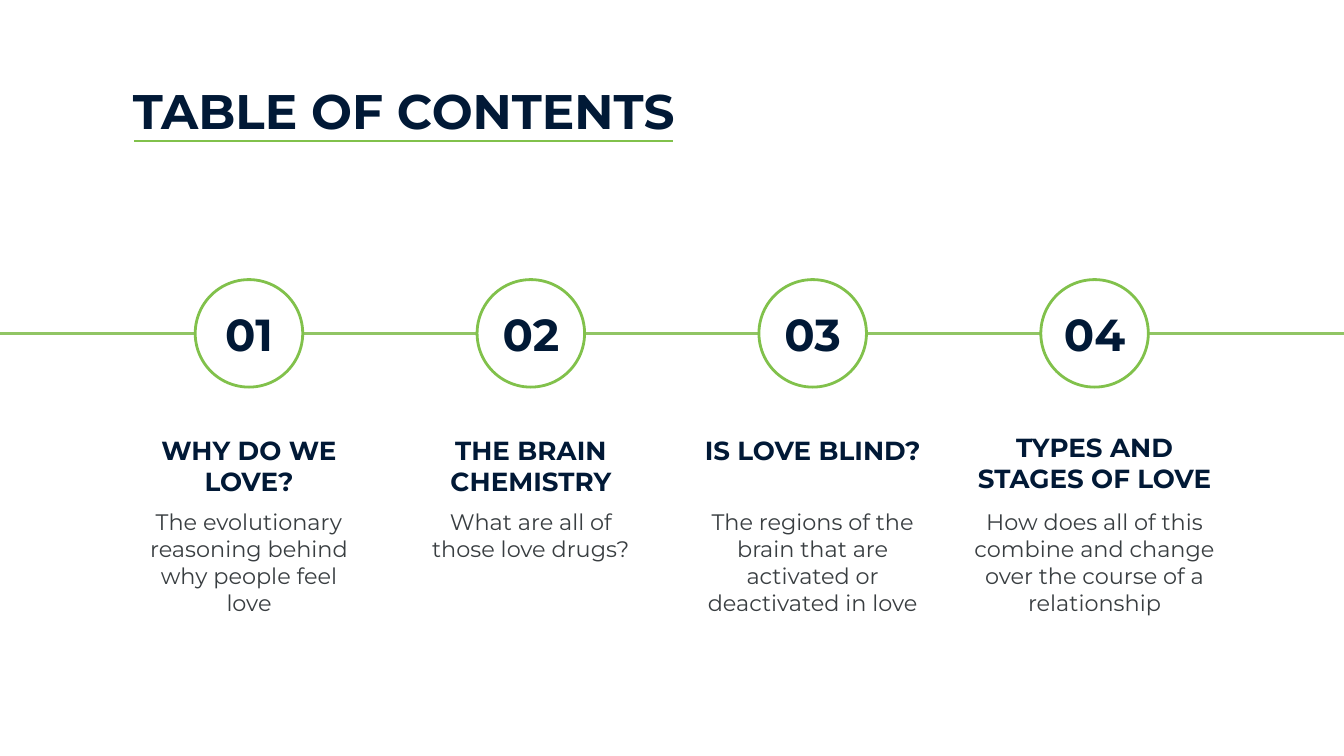
"""Build a table of contents slide with four numbered stops on a line."""
from dataclasses import dataclass

from pptx import Presentation
from pptx.dml.color import RGBColor
from pptx.enum.shapes import MSO_CONNECTOR, MSO_SHAPE
from pptx.enum.text import MSO_ANCHOR, PP_ALIGN
from pptx.oxml.ns import qn
from pptx.slide import Slide
from pptx.util import Pt
from lxml import etree

COLORS = {
    "background": "FFFFFF",
    "green": "81C14B",
    "timeline": "91C564",
    "navy": "011936",
    "gray": "393E41",
}
FONT = "Montserrat"
FIRST_CENTER = 133.4
CENTER_STEP = 151
CIRCLE_SIZE = 57.6
TIMELINE_TOP = 178.6


@dataclass
class Box:
    left: float
    top: float
    width: float
    height: float


@dataclass
class TextStyle:
    size: float
    color: str = "navy"
    bold: bool = True
    alignment: PP_ALIGN = PP_ALIGN.CENTER
    anchor: MSO_ANCHOR = MSO_ANCHOR.TOP


@dataclass
class Section:
    number: str
    heading: str
    description: str
    width: float = 133.2
    heading_top: float = 225.4


TITLE = TextStyle(26, alignment=PP_ALIGN.LEFT)
NUMBER = TextStyle(24, anchor=MSO_ANCHOR.MIDDLE)
HEADING = TextStyle(14)
DESCRIPTION = TextStyle(12, color="gray", bold=False)

SECTIONS = [
    Section("01", "WHY DO WE LOVE?", "The evolutionary reasoning behind why people feel love"),
    Section("02", "THE BRAIN\nCHEMISTRY", "What are all of those love drugs?"),
    Section("03", "IS LOVE BLIND?", "The regions of the brain that are activated or deactivated in love"),
    Section("04", "TYPES AND STAGES OF LOVE",
            "How does all of this combine and change over the course of a relationship",
            width=147.6, heading_top=223.9),
]


def color(name: str) -> RGBColor:
    """Return the named color."""
    return RGBColor.from_string(COLORS[name])


def add_line(slide: Slide, start: float, end: float, top: float, color_name: str) -> None:
    """Draw a horizontal line without a shadow."""
    connector = slide.shapes.add_connector(
        MSO_CONNECTOR.STRAIGHT, Pt(start), Pt(top), Pt(end), Pt(top))
    connector.line.color.rgb = color(color_name)
    connector.line.width = Pt(1.5)
    etree.SubElement(connector._element.spPr, qn("a:effectLst"))


def add_text(slide: Slide, text: str, box: Box, style: TextStyle) -> None:
    """Add a wrapped text box in one style."""
    shape = slide.shapes.add_textbox(Pt(box.left), Pt(box.top), Pt(box.width), Pt(box.height))
    text_frame = shape.text_frame
    text_frame.word_wrap = True
    text_frame.vertical_anchor = style.anchor
    text_frame.margin_left = text_frame.margin_right = Pt(7.2)
    text_frame.margin_top = text_frame.margin_bottom = Pt(7.2)
    text_frame.text = text
    for paragraph in text_frame.paragraphs:
        paragraph.alignment = style.alignment
        for run in paragraph.runs:
            run.font.name = FONT
            run.font.size = Pt(style.size)
            run.font.bold = style.bold
            run.font.color.rgb = color(style.color)


def add_circle(slide: Slide, center: float) -> None:
    """Draw an outlined circle on the timeline."""
    shape = slide.shapes.add_shape(
        MSO_SHAPE.OVAL, Pt(center - CIRCLE_SIZE / 2), Pt(149.8), Pt(CIRCLE_SIZE), Pt(CIRCLE_SIZE))
    shape.shadow.inherit = False
    shape.fill.solid()
    shape.fill.fore_color.rgb = color("background")
    shape.line.color.rgb = color("green")
    shape.line.width = Pt(1.5)


def add_section(slide: Slide, section: Section, center: float) -> None:
    """Add one numbered stop with its heading and description."""
    add_circle(slide, center)
    left = center - section.width / 2
    add_text(slide, section.number, Box(left, 159.1, section.width, 39.6), NUMBER)
    add_text(slide, section.heading, Box(left, section.heading_top, section.width, 45.4), HEADING)
    add_text(slide, section.description, Box(left, 265, section.width, 62.6), DESCRIPTION)


def main() -> None:
    """Build and save the presentation."""
    presentation = Presentation()
    presentation.slide_width = Pt(720)
    presentation.slide_height = Pt(405)
    slide = presentation.slides.add_slide(presentation.slide_layouts[6])
    slide.background.fill.solid()
    slide.background.fill.fore_color.rgb = color("background")

    add_line(slide, -1.4, 721.4, TIMELINE_TOP, "timeline")
    add_text(slide, "TABLE OF CONTENTS", Box(64.1, 36, 591.1, 45.4), TITLE)
    add_line(slide, 72, 360.7, 75.6, "green")
    for index, section in enumerate(SECTIONS):
        add_section(slide, section, FIRST_CENTER + index * CENTER_STEP)
    presentation.save("out.pptx")


if __name__ == "__main__":
    main()
